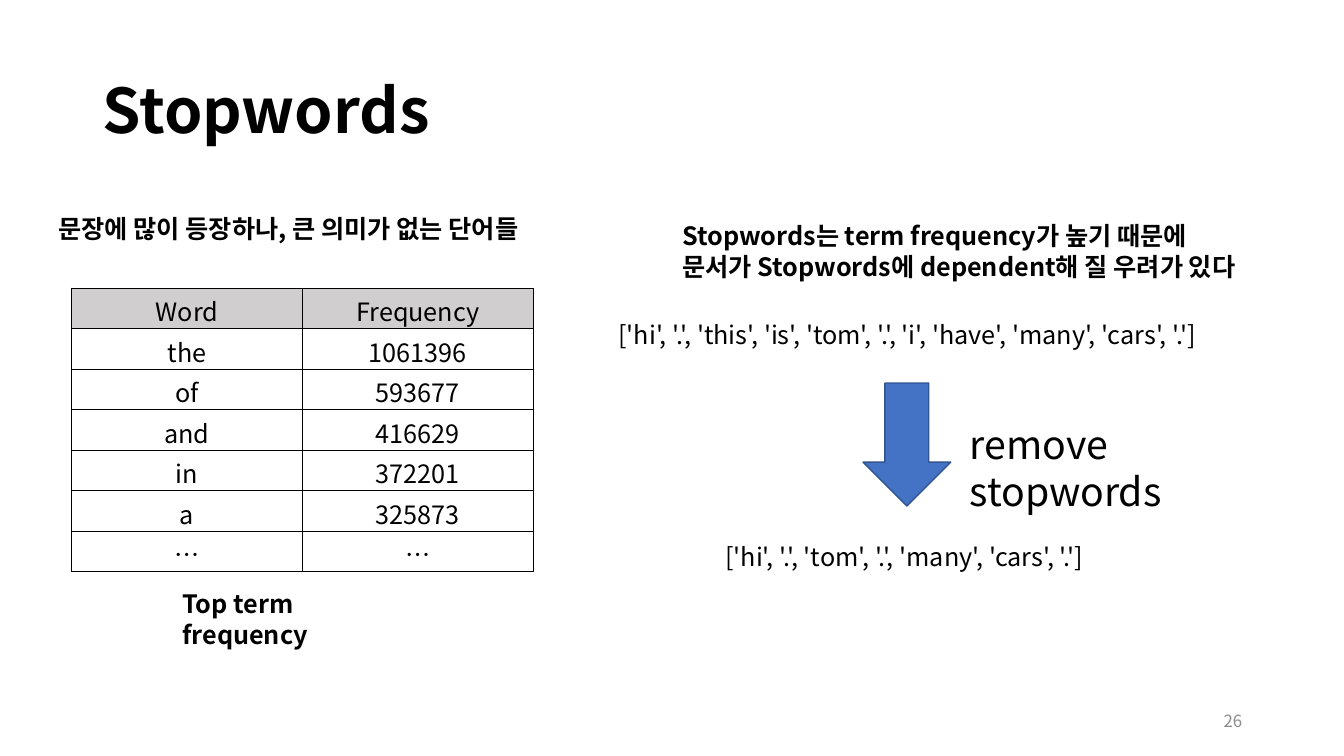
import pptx
import pptx.util
import lxml.etree
from pptx.dml.color import RGBColor
from pptx.enum.shapes import MSO_SHAPE
from pptx.enum.text import MSO_ANCHOR, PP_ALIGN
from pptx.oxml.ns import qn
from pptx.util import Inches, Pt

FONT = "Noto Sans CJK KR"
BLACK = RGBColor(0x00, 0x00, 0x00)
GRAY = RGBColor(0x8C, 0x8C, 0x8C)
HEADER_FILL = RGBColor(0xD0, 0xCE, 0xCE)
ARROW_FILL = RGBColor(0x44, 0x72, 0xC4)
ARROW_LINE = RGBColor(0x32, 0x54, 0x91)

TITLE = "Stopwords"
FREQUENCIES = [
    ("Word", "Frequency"),
    ("the", "1061396"),
    ("of", "593677"),
    ("and", "416629"),
    ("in", "372201"),
    ("a", "325873"),
    ("…", "…"),
]
TABLE_LEFT, TABLE_TOP = 0.71, 2.86
COLUMN_WIDTH, ROW_HEIGHT = 2.29, 0.4
ARROW_BOX = (8.56, 3.8, 0.87, 1.22)

LEFT, CENTER, RIGHT = PP_ALIGN.LEFT, PP_ALIGN.CENTER, PP_ALIGN.RIGHT
TEXTS = [
    dict(box=(0.48, 2.07, 5.35, 0.4), bold=True,
         lines=["문장에 많이 등장하나, 큰 의미가 없는 단어들"]),
    dict(box=(6.67, 2.14, 5.99, 0.71), bold=True,
         lines=["Stopwords는 term frequency가 높기 때문에",
                "문서가 Stopwords에 dependent해 질 우려가 있다"]),
    dict(box=(5.87, 3.12, 6.26, 0.4), align=CENTER, before=3,
         lines=["['hi', '.', 'this', 'is', 'tom', '.', 'i', 'have', 'many', 'cars', '.']"]),
    dict(box=(9.52, 4.12, 3.5, 0.57), size=28, wrap=True,
         lines=["remove stopwords"]),
    dict(box=(6.91, 5.29, 4.12, 0.4), align=CENTER, before=3, spacing=1.1,
         lines=["['hi', '.', 'tom', '.', 'many', 'cars', '.']"]),
    dict(box=(1.71, 5.79, 2.58, 0.4), bold=True, wrap=True,
         lines=["Top term frequency"]),
    dict(box=(9.42, 6.95, 3, 0.4), size=12, color=GRAY, align=RIGHT,
         anchor=MSO_ANCHOR.MIDDLE, wrap=True, lines=["26"]),
]


def format_paragraph(paragraph, size=18, bold=False, color=BLACK, align=LEFT):
    paragraph.alignment = align
    font = paragraph.font
    font.name = FONT
    font.size = Pt(size)
    font.bold = bold
    font.color.rgb = color
    properties = paragraph._p.get_or_add_pPr().find(qn("a:defRPr"))
    east_asian = lxml.etree.SubElement(properties, qn("a:ea"))
    east_asian.set("typeface", FONT)


def add_text(slide, box, lines, size=18, bold=False, color=BLACK, align=LEFT,
             anchor=MSO_ANCHOR.TOP, wrap=False, before=0, spacing=1.0):
    shape = slide.shapes.add_textbox(*map(Inches, box))
    frame = shape.text_frame
    frame.word_wrap = wrap
    frame.vertical_anchor = anchor
    frame.text = "\n".join(lines)
    for paragraph in frame.paragraphs:
        format_paragraph(paragraph, size, bold, color, align)
        paragraph.space_before = Pt(before)
        paragraph.line_spacing = spacing


def add_borders(cell):
    properties = cell._tc.get_or_add_tcPr()
    for index, side in enumerate(("lnL", "lnR", "lnT", "lnB")):
        line = lxml.etree.Element(qn(f"a:{side}"), w=str(Pt(1)))
        fill = lxml.etree.SubElement(line, qn("a:solidFill"))
        lxml.etree.SubElement(fill, qn("a:srgbClr"), val=str(BLACK))
        properties.insert(index, line)


def add_frequency_table(slide):
    row_count, column_count = len(FREQUENCIES), len(FREQUENCIES[0])
    table = slide.shapes.add_table(
        row_count, column_count, Inches(TABLE_LEFT), Inches(TABLE_TOP),
        Inches(COLUMN_WIDTH * column_count), Inches(ROW_HEIGHT * row_count)).table
    table.horz_banding = False
    for row_index, values in enumerate(FREQUENCIES):
        for column_index, value in enumerate(values):
            cell = table.cell(row_index, column_index)
            cell.text = value
            cell.margin_top = Inches(0.04)
            cell.margin_bottom = 0
            format_paragraph(cell.text_frame.paragraphs[0], align=CENTER)
            if row_index == 0:
                cell.fill.solid()
                cell.fill.fore_color.rgb = HEADER_FILL
            else:
                cell.fill.background()
            add_borders(cell)


def add_arrow(slide):
    arrow = slide.shapes.add_shape(MSO_SHAPE.DOWN_ARROW, *map(Inches, ARROW_BOX))
    arrow.shadow.inherit = False
    arrow.fill.solid()
    arrow.fill.fore_color.rgb = ARROW_FILL
    arrow.line.color.rgb = ARROW_LINE
    arrow.line.width = Pt(1)


def main():
    presentation = pptx.Presentation()
    presentation.slide_width = Inches(13.33)
    presentation.slide_height = Inches(7.5)
    slide = presentation.slides.add_slide(presentation.slide_layouts[5])

    title = slide.shapes.title
    title.left, title.top, title.width, title.height = map(Inches, (0.92, 0.4, 11.5, 1.45))
    title.text_frame.text = TITLE
    title.text_frame.vertical_anchor = MSO_ANCHOR.MIDDLE
    heading = title.text_frame.paragraphs[0]
    format_paragraph(heading, size=44, bold=True)
    heading.line_spacing = 0.9

    add_frequency_table(slide)
    add_arrow(slide)
    for text in TEXTS:
        add_text(slide, **text)
    presentation.save("out.pptx")


if __name__ == "__main__":
    main()
